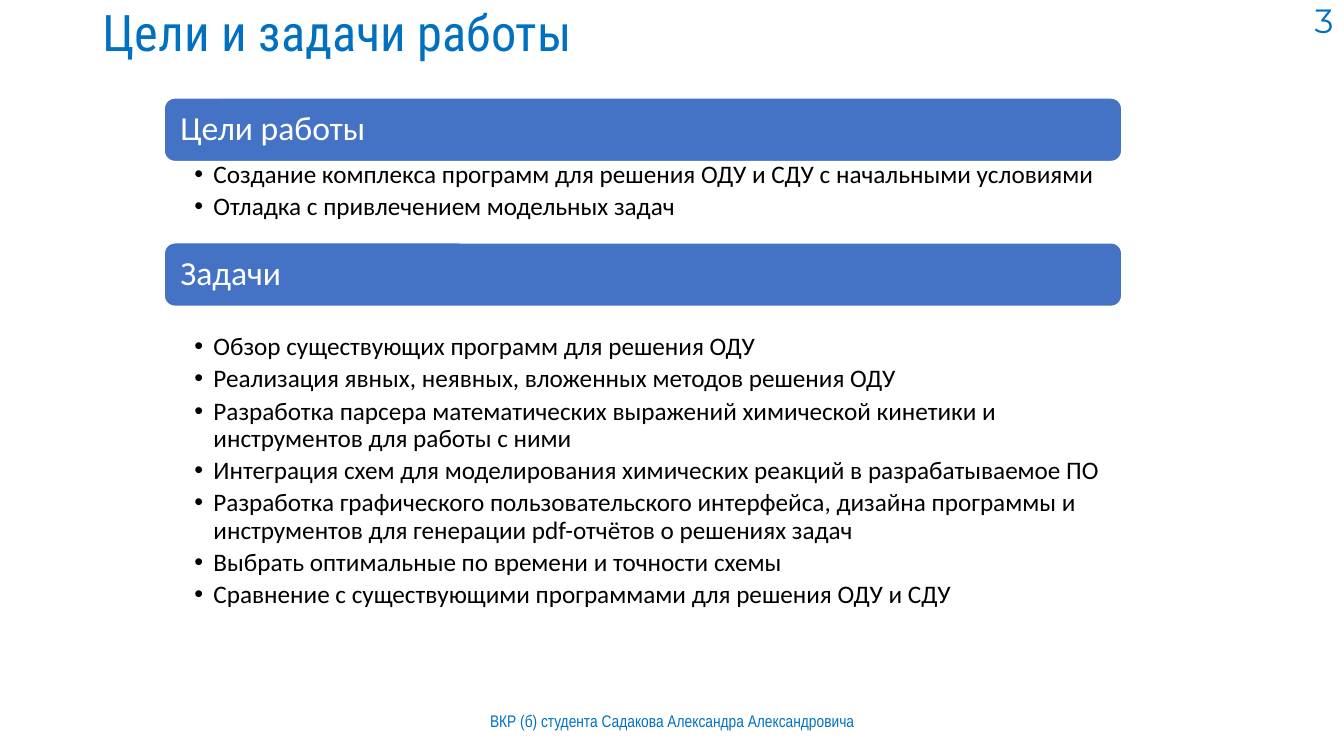
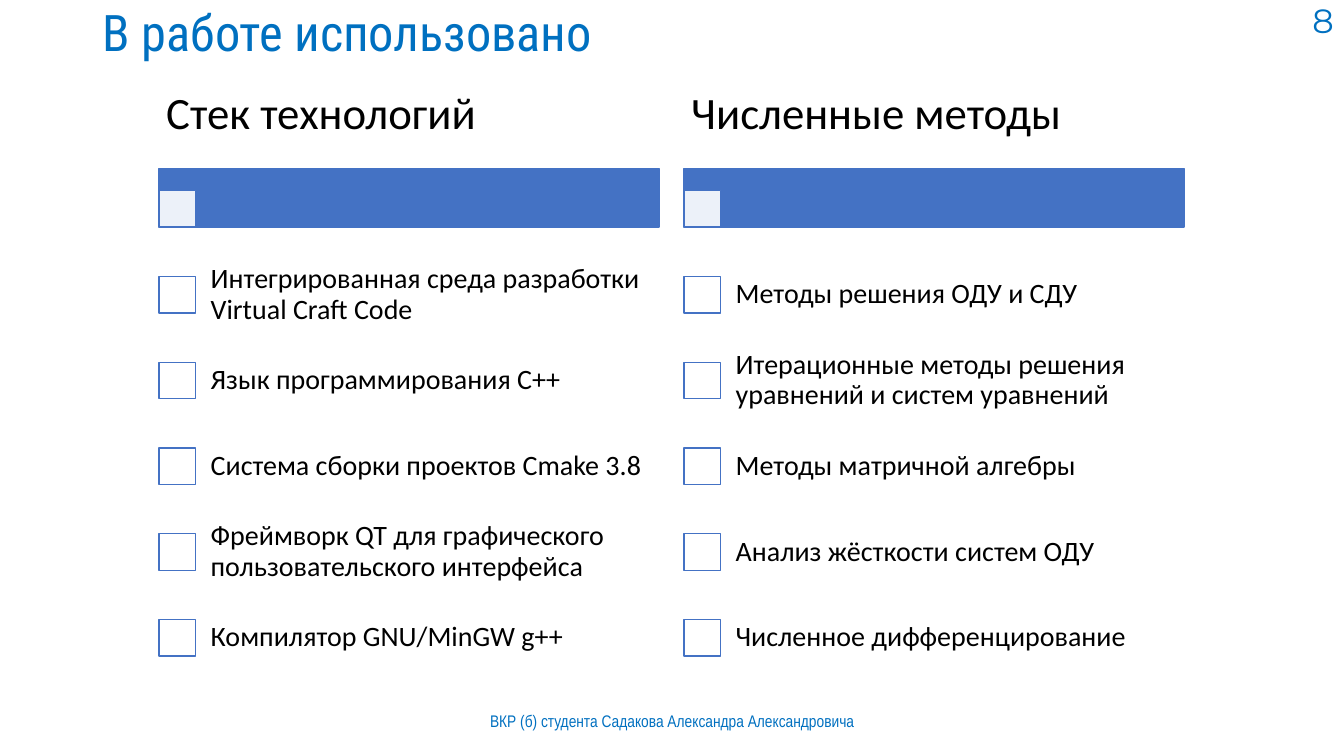
from pptx import Presentation
from pptx.dml.color import RGBColor
from pptx.enum.shapes import MSO_SHAPE
from pptx.enum.text import MSO_ANCHOR, PP_ALIGN
from pptx.oxml.ns import qn
from pptx.util import Cm, Pt
from lxml import etree

RECT, ROUND_RECT = MSO_SHAPE.RECTANGLE, MSO_SHAPE.ROUNDED_RECTANGLE
TOP, MIDDLE = MSO_ANCHOR.TOP, MSO_ANCHOR.MIDDLE
LEFT, CENTER, RIGHT = PP_ALIGN.LEFT, PP_ALIGN.CENTER, PP_ALIGN.RIGHT

ACCENT = RGBColor(0x00, 0x70, 0xC0)
BLUE = RGBColor(0x44, 0x72, 0xC4)
WHITE = RGBColor(0xFF, 0xFF, 0xFF)
BLACK = RGBColor(0x00, 0x00, 0x00)

FRAME_MARGINS = (0.25, 0.13, 0.25, 0.13)
TITLE = {"name": "Roboto Condensed", "size": Pt(36), "color": ACCENT}
FOOTER = {"name": "Arial Narrow", "size": Pt(12), "color": ACCENT}
NUMBER = {"name": "Montserrat", "size": Pt(24), "color": ACCENT}
BANNER = {"name": "Calibri", "size": Pt(24), "color": WHITE}
BULLET = {"name": "Calibri", "size": Pt(18), "color": BLACK}
HEADING = {"name": "Calibri", "size": Pt(32), "color": BLACK}
ITEM = {"name": "Calibri", "size": Pt(20), "color": BLACK}

FOOTER_TEXT = "ВКР (б) студента Садакова Александра Александровича"
BLOCK_LEFT, BLOCK_WIDTH, BANNER_HEIGHT = 4.14, 24.13, 1.6
COLUMN_LEFT, COLUMN_WIDTH, COLUMN_STEP = 4.01, 12.6, 13.23
BAR_TOP, BAR_HEIGHT = 4.24, 1.48
BOX_SIZE = 0.92
ROW_TOP, ROW_HEIGHT = 6.35, 2.16

GOALS = [
    "Создание комплекса программ для решения ОДУ и СДУ с начальными условиями",
    "Отладка с привлечением модельных задач",
]
TASKS = [
    "Обзор существующих программ для решения ОДУ",
    "Реализация явных, неявных, вложенных методов решения ОДУ",
    "Разработка парсера математических выражений химической кинетики и "
    "инструментов для работы с ними",
    "Интеграция схем для моделирования химических реакций в разрабатываемое ПО",
    "Разработка графического пользовательского интерфейса, дизайна программы и "
    "инструментов для генерации pdf-отчётов о решениях задач",
    "Выбрать оптимальные по времени и точности схемы",
    "Сравнение с существующими программами для решения ОДУ и СДУ",
]
COLUMNS = [
    ("Стек технологий", [
        "Интегрированная среда разработки Virtual Craft Code",
        "Язык программирования C++",
        "Система сборки проектов Cmake 3.8",
        "Фреймворк QT для графического пользовательского интерфейса",
        "Компилятор GNU/MinGW g++",
    ]),
    ("Численные методы", [
        "Методы решения ОДУ и СДУ",
        "Итерационные методы решения уравнений и систем уравнений",
        "Методы матричной алгебры",
        "Анализ жёсткости систем ОДУ",
        "Численное дифференцирование",
    ]),
]


def set_format(target, values):
    for name, value in values.items():
        if name == "color":
            target.color.rgb = value
        else:
            setattr(target, name, value)


def add_bullet(p):
    pPr = p._p.get_or_add_pPr()
    pPr.set("marL", str(Cm(0.48)))
    pPr.set("indent", str(-Cm(0.48)))
    etree.SubElement(pPr, qn("a:buFont")).set("typeface", "Arial")
    etree.SubElement(pPr, qn("a:buChar")).set("char", "•")


def write(sp, lines, font, margins, anchor=MIDDLE, align=LEFT, spacing=0.9, bullets=False):
    tf = sp.text_frame
    sides = ("margin_left", "margin_top", "margin_right", "margin_bottom")
    set_format(tf, {"word_wrap": True, "vertical_anchor": anchor,
                    **dict(zip(sides, map(Cm, margins)))})
    for i, line in enumerate(lines):
        p = tf.paragraphs[0] if i == 0 else tf.add_paragraph()
        if bullets:
            add_bullet(p)
            p.space_after = Pt(3.6)
        set_format(p, {"alignment": align, "line_spacing": spacing})
        r = p.add_run()
        r.text = line
        set_format(r.font, font)


def add_text(s, at, lines, font, margins=FRAME_MARGINS, **layout):
    sp = s.shapes.add_textbox(*map(Cm, at))
    write(sp, lines, font, margins, **layout)


def add_box(s, kind, at, fill, line):
    sp = s.shapes.add_shape(kind, *map(Cm, at))
    sp.shadow.inherit = False
    sp.fill.solid()
    sp.fill.fore_color.rgb = fill
    set_format(sp.line, {"width": Pt(1)})
    sp.line.color.rgb = line
    return sp


def set_opacity(sp, percent):
    color = sp._element.spPr.find(qn("a:solidFill")).find(qn("a:srgbClr"))
    etree.SubElement(color, qn("a:alpha")).set("val", str(percent * 1000))


def add_slide(prs, title, number):
    s = prs.slides.add_slide(prs.slide_layouts[6])
    add_text(s, (2.34, 0, 29.2, 1.8), [title], TITLE)
    add_text(s, (11.23, 17.65, 11.43, 1.02), [FOOTER_TEXT], FOOTER, align=CENTER, spacing=1.0)
    add_text(s, (26.24, 0, 7.62, 1.02), [str(number)], NUMBER, align=RIGHT, spacing=1.0)
    return s


def add_banner(s, top, text):
    sp = add_box(s, ROUND_RECT, (BLOCK_LEFT, top, BLOCK_WIDTH, BANNER_HEIGHT), BLUE, WHITE)
    write(sp, [text], BANNER, (0.33, 0.25, 0.33, 0.25))


def add_bullets(s, top, height, lines):
    add_text(s, (BLOCK_LEFT, top, BLOCK_WIDTH, height), lines, BULLET,
             (0.76, 0.08, 0.36, 0.08), anchor=TOP, bullets=True)


def add_checklist(s, left, heading, items):
    add_box(s, RECT, (left, BAR_TOP, COLUMN_WIDTH, BAR_HEIGHT), BLUE, BLUE)
    corner_top = BAR_TOP + BAR_HEIGHT - BOX_SIZE
    corner = add_box(s, RECT, (left, corner_top, BOX_SIZE, BOX_SIZE), WHITE, BLUE)
    set_opacity(corner, 90)
    add_text(s, (left, 1.57, COLUMN_WIDTH, BAR_TOP - 1.57), [heading], HEADING,
             (0.18, 0.1, 0.18, 0.1))
    for row, item in enumerate(items):
        top = ROW_TOP + row * ROW_HEIGHT
        box_top = top + (ROW_HEIGHT - BOX_SIZE) / 2
        add_box(s, RECT, (left, box_top, BOX_SIZE, BOX_SIZE), WHITE, BLUE)
        add_text(s, (left + 0.9, top, COLUMN_WIDTH - 0.9, ROW_HEIGHT), [item], ITEM,
                 (0.4, 0.4, 0.2, 0.4))


def main():
    prs = Presentation()
    set_format(prs, {"slide_width": Cm(33.87), "slide_height": Cm(19.05)})

    s = add_slide(prs, "Цели и задачи работы", 3)
    add_banner(s, 2.47, "Цели работы")
    add_bullets(s, 4, 2.2, GOALS)
    add_banner(s, 6.12, "Задачи")
    add_bullets(s, 8.33, 7.37, TASKS)

    s = add_slide(prs, "В работе использовано", 8)
    for i, (heading, items) in enumerate(COLUMNS):
        add_checklist(s, COLUMN_LEFT + i * COLUMN_STEP, heading, items)

    prs.save("out.pptx")


if __name__ == "__main__":
    main()
